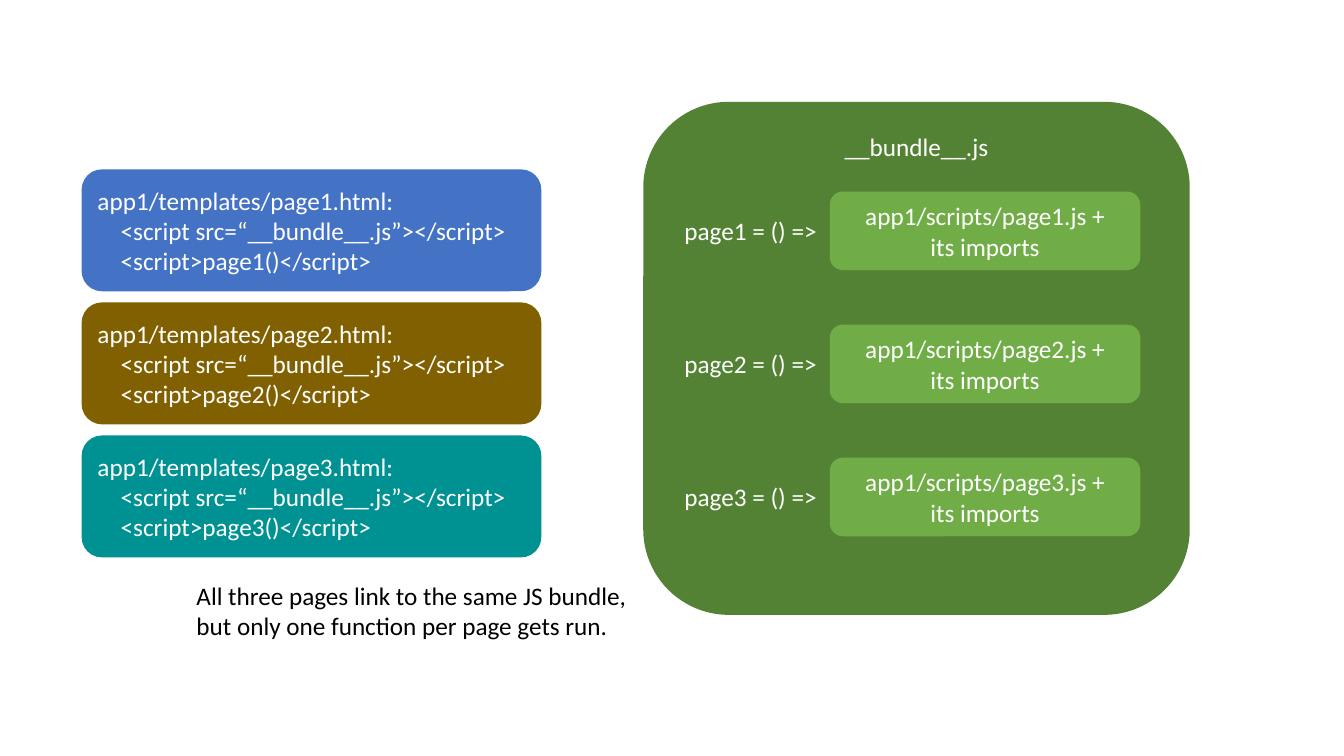
from dataclasses import dataclass

from pptx import Presentation
from pptx import util as u
from pptx.dml.color import RGBColor
from pptx.enum import shapes, text

PX = 9144  # EMU per px, 100 px to the inch
ROW_PITCH = 132
PAGES = ("page1", "page2", "page3")


@dataclass(frozen=True)
class Theme:
    font: str = "Calibri"
    size: int = 18
    light: str = "FFFFFF"
    dark: str = "000000"
    bundle: str = "548235"
    script: str = "70AD47"
    pages: tuple = ("4472C4", "806000", "009193")


THEME = Theme()


def write(sp, lines, color=THEME.light, align=text.PP_ALIGN.LEFT,
          anchor=text.MSO_ANCHOR.MIDDLE, wrap=True, indent=0):
    """Put lines in a shape; every line after the first gets the indent."""
    tf = sp.text_frame
    tf.word_wrap = wrap
    tf.vertical_anchor = anchor
    for i, line in enumerate(lines):
        p = tf.paragraphs[0] if i == 0 else tf.add_paragraph()
        p.alignment = align
        if i and indent:
            p._p.get_or_add_pPr().set("marL", str(indent * PX))
        r = p.add_run()
        r.text = line
        r.font.name = THEME.font
        r.font.size = u.Pt(THEME.size)
        r.font.color.rgb = RGBColor.from_string(color)


def add_card(s, box, fill, lines, **fmt):
    sp = s.shapes.add_shape(shapes.MSO_SHAPE.ROUNDED_RECTANGLE,
                            *(v * PX for v in box))
    sp.shadow.inherit = False
    sp.fill.solid()
    sp.fill.fore_color.rgb = RGBColor.from_string(fill)
    sp.line.fill.background()
    write(sp, lines, **fmt)


def add_label(s, box, lines, **fmt):
    sp = s.shapes.add_textbox(*(v * PX for v in box))
    write(sp, lines, anchor=text.MSO_ANCHOR.TOP, **fmt)
    sp.text_frame.auto_size = text.MSO_AUTO_SIZE.SHAPE_TO_FIT_TEXT


def add_templates(s, x, y, w):
    """Stack of HTML pages that load the bundle."""
    for i, (page, fill) in enumerate(zip(PAGES, THEME.pages)):
        lines = (f"app1/templates/{page}.html:",
                 "<script src=“__bundle__.js”></script>",
                 f"<script>{page}()</script>")
        add_card(s, (x, y + i * ROW_PITCH, w, 121), fill, lines, indent=23)


def add_bundle(s, x, y, w, h):
    """Bundle panel with one function per page."""
    center = text.PP_ALIGN.CENTER
    add_card(s, (x, y, w, h), THEME.bundle, ["__bundle__.js"],
             align=center, anchor=text.MSO_ANCHOR.TOP)
    for i, page in enumerate(PAGES):
        top = y + 89 + i * ROW_PITCH
        add_card(s, (x + 185, top, 308, 78), THEME.script,
                 (f"app1/scripts/{page}.js +", "its imports"), align=center)
        add_label(s, (x + 31, top + 19, 180, 40), [f"{page} = () =>"])


def main():
    prs = Presentation()
    prs.slide_width, prs.slide_height = 1333 * PX, 750 * PX
    s = prs.slides.add_slide(prs.slide_layouts[6])

    add_templates(s, 81, 168, 456)
    add_bundle(s, 638, 101, 542, 509)

    # Closing remark
    add_label(s, (185, 571, 452, 71),
              ("All three pages link to the same JS bundle,",
               "but only one function per page gets run."),
              color=THEME.dark, wrap=False)

    prs.save("out.pptx")


if __name__ == "__main__":
    main()
